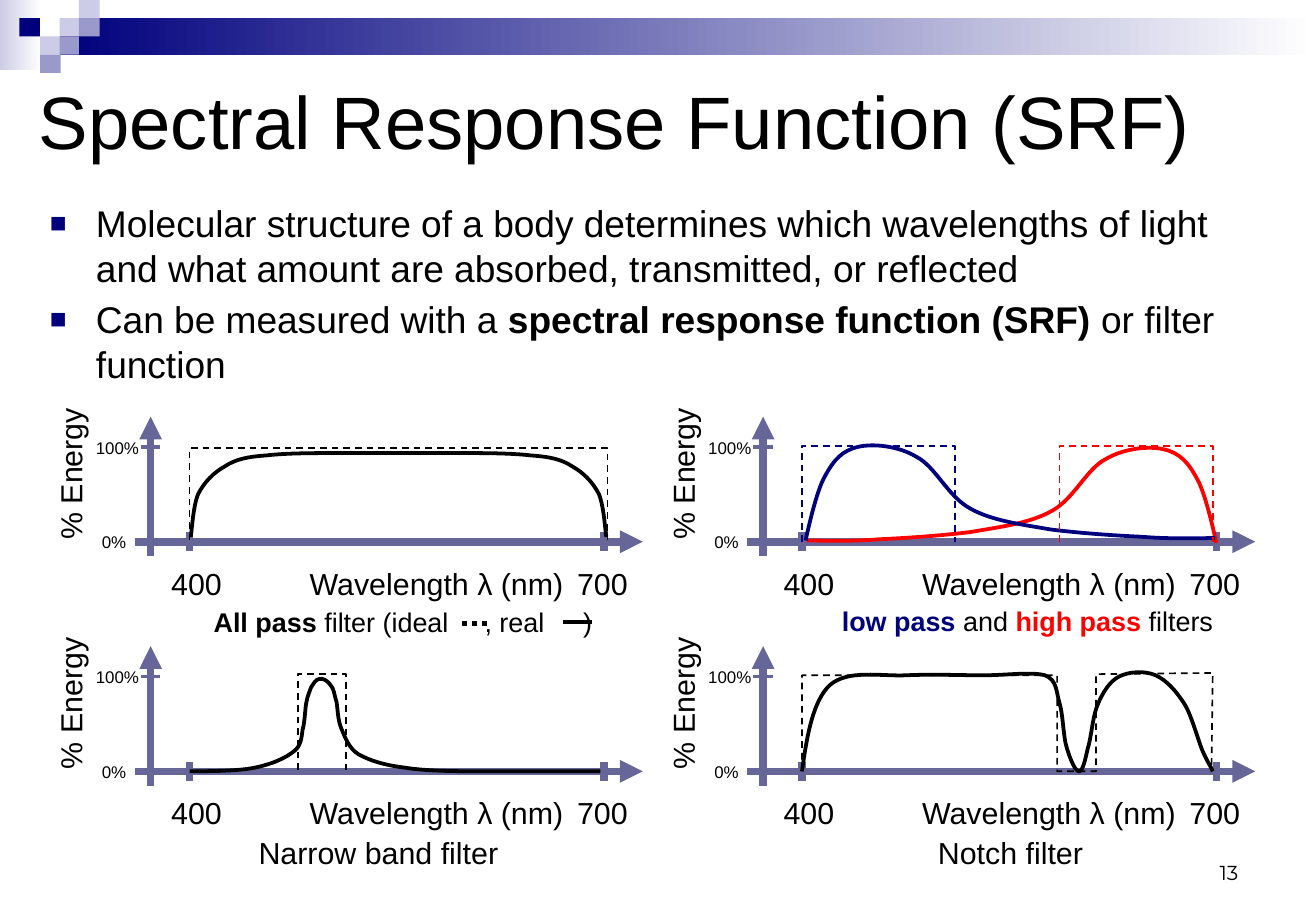
import pptx
import pptx.util
import pptx.dml.color
import pptx.enum.dml
import pptx.enum.shapes
import pptx.enum.text
import pptx.oxml.ns
from lxml import etree

Inches, Pt, qn = pptx.util.Inches, pptx.util.Pt, pptx.oxml.ns.qn
DASH, DOTS = pptx.enum.dml.MSO_LINE.DASH, pptx.enum.dml.MSO_LINE.ROUND_DOT
ALIGN, ANCHOR = pptx.enum.text.PP_ALIGN, pptx.enum.text.MSO_ANCHOR
AUTO_SIZE = pptx.enum.text.MSO_AUTO_SIZE

COLORS = {"black": "000000", "white": "FFFFFF", "navy": "00007D", "red": "FF0001",
          "axis": "666699", "pale": "CCCCE6", "lilac": "9999CC"}
# left, top, width, height, colours (two make a gradient)
HEADER_BLOCKS = [
    (0, 0, 0.34, 0.58, "pale", "white"), (0.49, 0.15, 10.34, 0.3, "navy", "white"),
    (0.49, 0.15, 0.16, 0.15, "pale"), (0.65, 0, 0.17, 0.15, "pale"),
    (0.65, 0.15, 0.17, 0.15, "lilac"), (0.33, 0.3, 0.17, 0.15, "pale"),
    (0.16, 0.15, 0.17, 0.15, "navy"), (0.49, 0.3, 0.16, 0.15, "lilac"),
    (0.33, 0.45, 0.17, 0.15, "lilac")]
BULLETS = [
    [("Molecular structure of a body determines which wavelengths of light "
      "and what amount are absorbed, transmitted, or reflected", {})],
    [("Can be measured with a ", {}), ("spectral response function (SRF)", {"bold": True}),
     (" or filter function", {})]]
# text, left, top, width, height from the origin of the axes, size, rotation
AXIS_LABELS = [
    ("400", 0.07, 0.14, 0.62, 0.4, 18, 0), ("700", 3.41, 0.14, 0.62, 0.4, 18, 0),
    ("Wavelength λ (nm)", 1.21, 0.14, 2.3, 0.4, 18, 0),
    ("% Energy", -1.36, -0.82, 1.4, 0.4, 18, 270),
    ("100%", -0.55, -0.91, 0.62, 0.27, 10, 0), ("0%", -0.5, -0.13, 0.42, 0.27, 10, 0)]
LEFT, RIGHT = 1.24, 6.28     # x of the energy axes
UPPER, LOWER = 4.46, 6.35    # y of the wavelength axes

# Bézier curves: start point, then two control points and an end point per segment
ALL_PASS = [
    (1.57, 4.42), (1.58, 4.36), (1.59, 4.17), (1.63, 4.07), (1.68, 3.97), (1.76, 3.89), (1.85, 3.84),
    (1.94, 3.78), (2.04, 3.76), (2.19, 3.75), (2.35, 3.73), (2.59, 3.73), (2.78, 3.73),
    (2.98, 3.73), (3.23, 3.73), (3.34, 3.73)]
HIGH_PASS = [
    (6.64, 4.45), (6.74, 4.45), (7.01, 4.46), (7.24, 4.44), (7.46, 4.43), (7.75, 4.41), (7.99, 4.38),
    (8.22, 4.34), (8.47, 4.31), (8.65, 4.21), (8.84, 4.11), (8.94, 3.86), (9.1, 3.78),
    (9.25, 3.69), (9.46, 3.67), (9.58, 3.7), (9.71, 3.73), (9.78, 3.81), (9.85, 3.94),
    (9.92, 4.06), (9.99, 4.38), (10.01, 4.47)]
NARROW_BAND = [
    (1.56, 6.35), (1.64, 6.35), (1.9, 6.35), (2.04, 6.33), (2.18, 6.31), (2.32, 6.26), (2.4, 6.2),
    (2.48, 6.15), (2.48, 6.08), (2.49, 6.01), (2.51, 5.94), (2.51, 5.85), (2.52, 5.79),
    (2.53, 5.73), (2.55, 5.69), (2.56, 5.66), (2.58, 5.63), (2.6, 5.59), (2.63, 5.59),
    (2.66, 5.58), (2.7, 5.61), (2.72, 5.64), (2.75, 5.67), (2.75, 5.72), (2.77, 5.78),
    (2.78, 5.84), (2.78, 5.93), (2.81, 6), (2.84, 6.07), (2.87, 6.16), (2.95, 6.21),
    (3.04, 6.26), (3.16, 6.3), (3.33, 6.32), (3.51, 6.35), (3.77, 6.35), (4, 6.35),
    (4.23, 6.35), (4.55, 6.35), (4.71, 6.35), (4.87, 6.35), (4.9, 6.35), (4.94, 6.35)]
NOTCH = [
    (6.6, 6.35), (6.64, 6.06), (6.69, 5.77), (6.83, 5.64), (6.98, 5.51), (7.25, 5.57), (7.46, 5.56),
    (7.67, 5.55), (7.9, 5.56), (8.09, 5.56), (8.28, 5.56), (8.49, 5.53), (8.6, 5.56),
    (8.7, 5.6), (8.69, 5.69), (8.72, 5.79), (8.75, 5.89), (8.75, 6.07), (8.78, 6.16),
    (8.81, 6.26), (8.85, 6.35), (8.88, 6.35), (8.91, 6.35), (8.93, 6.26), (8.95, 6.17),
    (8.98, 6.08), (8.99, 5.91), (9.03, 5.81), (9.07, 5.71), (9.13, 5.61), (9.21, 5.57),
    (9.29, 5.53), (9.42, 5.52), (9.51, 5.56), (9.6, 5.6), (9.68, 5.69), (9.75, 5.8),
    (9.81, 5.9), (9.86, 6.1), (9.9, 6.19), (9.94, 6.28), (9.97, 6.32), (9.98, 6.35)]

def rgb(name):
    return pptx.dml.color.RGBColor.from_string(COLORS[name])

def set_values(target, values):
    for name, value in values.items():
        setattr(target, name, value)

def add_child(parent, tag, **attributes):
    return etree.SubElement(parent, qn(tag), attributes)

def mirror(points, axis_sum, shift=0):
    """Reflect points left to right; axis_sum is twice the x of the mirror line."""
    return [(axis_sum - x, y + shift) for x, y in points]

def write_runs(paragraph, runs, size, font="Arial"):
    for text, style in runs:
        run = paragraph.add_run()
        run.text = text
        set_values(run.font, {"size": Pt(size), "name": font, "bold": style.get("bold", False)})
        run.font.color.rgb = rgb(style.get("color", "black"))

def add_label(shapes, box, runs, size, rotation=0, wrap=False):
    label = shapes.add_textbox(*map(Inches, box))
    label.rotation = rotation
    set_values(label.text_frame, {"word_wrap": wrap, "auto_size": AUTO_SIZE.SHAPE_TO_FIT_TEXT})
    paragraph = label.text_frame.paragraphs[0]
    write_runs(paragraph, [(runs, {})] if isinstance(runs, str) else runs, size)
    return paragraph

def style_line(line, color, width, dash=None):
    line.color.rgb = rgb(color)
    set_values(line, {"width": Pt(width), "dash_style": dash})

def add_line(shapes, start, end, color, width, dash=None, arrow=False):
    straight = pptx.enum.shapes.MSO_CONNECTOR.STRAIGHT
    connector = shapes.add_connector(straight, *map(Inches, start + end))
    style_line(connector.line, color, width, dash)
    if arrow:
        add_child(connector.line._get_or_add_ln(), "a:tailEnd", type="triangle")
    add_child(connector._element.spPr, "a:effectLst")

def add_outline(shapes, points, color="black", width=1, dash=DASH):
    start, *rest = [(Inches(x), Inches(y)) for x, y in points]
    builder = shapes.build_freeform(*start)
    builder.add_line_segments(rest, close=False)
    shape = builder.convert_to_shape()
    shape.shadow.inherit = False
    shape.fill.background()
    style_line(shape.line, color, width, dash)
    return shape

def add_curve(shapes, points, color="black"):
    """Turn each three points of an open outline into one Bézier segment."""
    shape = add_outline(shapes, points, color, 2.25, None)
    segments = list(shape._element.iter(qn("a:lnTo")))
    for index in range(0, len(segments), 3):
        curve = add_child(segments[index].getparent(), "a:cubicBezTo")
        for segment in segments[index:index + 3]:
            curve.append(segment[0])
            segment.getparent().remove(segment)

def add_ideal_band(shapes, left, right, top, bottom, color="black"):
    add_outline(shapes, [(left, bottom), (left, top), (right, top), (right, bottom)], color)

def add_axes(slide, x, y):
    """Draw labelled axes crossing at x, y and return the shapes of their group."""
    shapes = slide.shapes.add_group_shape().shapes
    for tick in (x + 0.32, x + 3.73):
        add_line(shapes, (tick, y - 0.08), (tick, y + 0.08), "axis", 4.5)
    add_line(shapes, (x - 0.08, y - 0.78), (x + 0.08, y - 0.78), "axis", 2.25)
    add_line(shapes, (x - 0.13, y), (x + 4.05, y), "axis", 4.5, arrow=True)
    add_line(shapes, (x, y + 0.12), (x, y - 1.03), "axis", 4.5, arrow=True)
    for text, left, top, width, height, size, rotation in AXIS_LABELS:
        add_label(shapes, (x + left, y + top, width, height), text, size, rotation)
    return shapes

def add_header(slide):
    rectangle = pptx.enum.shapes.MSO_SHAPE.RECTANGLE
    for left, top, width, height, *colors in HEADER_BLOCKS:
        block = slide.shapes.add_shape(rectangle, *map(Inches, (left, top, width, height)))
        block.shadow.inherit = False
        block.line.fill.background()
        if len(colors) == 1:
            block.fill.solid()
            block.fill.fore_color.rgb = rgb(colors[0])
        else:
            block.fill.gradient()
            block.fill.gradient_angle = 0
            for stop, color in zip(block.fill.gradient_stops, colors):
                stop.color.rgb = rgb(color)

def fill_title_and_body(slide):
    title, body = slide.placeholders
    for shape, box, anchor in ((title, (0.22, 0.6, 10.46, 0.78), ANCHOR.MIDDLE),
                               (body, (0.31, 1.6, 10.21, 5.42), ANCHOR.TOP)):
        set_values(shape, dict(zip(("left", "top", "width", "height"), map(Inches, box))))
        set_values(shape.text_frame, {"vertical_anchor": anchor, "auto_size": AUTO_SIZE.NONE})
    title.text_frame.paragraphs[0].alignment = ALIGN.LEFT
    write_runs(title.text_frame.paragraphs[0], [("Spectral Response Function (SRF)", {})], 44)
    body.text_frame.add_paragraph()
    for paragraph, runs in zip(body.text_frame.paragraphs, BULLETS):
        paragraph.space_before = Pt(4.4)
        properties = paragraph._p.get_or_add_pPr()
        properties.set("marL", str(Inches(0.38)))
        properties.set("indent", str(-Inches(0.38)))
        add_child(add_child(properties, "a:buClr"), "a:srgbClr", val=COLORS["navy"])
        add_child(properties, "a:buSzPct", val="75000")
        add_child(properties, "a:buFont", typeface="Arial")
        add_child(properties, "a:buChar", char="■")
        write_runs(paragraph, runs, 22)

def add_upper_charts(slide):
    shapes = add_axes(slide, LEFT, UPPER)
    runs = [("All pass", {"bold": True}), (" filter (ideal\t, real\t)", {})]
    caption = add_label(shapes, (1.66, 4.94, 3.34, 0.37), runs, 16, wrap=True)
    tabs = add_child(caption._p.get_or_add_pPr(), "a:tabLst")
    for position in (2.23, 3.04):
        add_child(tabs, "a:tab", pos=str(Inches(position)), algn="l")
    add_ideal_band(shapes, 1.56, 5, 3.69, 4.45)
    add_curve(shapes, ALL_PASS)
    add_curve(shapes, mirror(ALL_PASS, 6.56))
    add_line(shapes, (3.8, 5.13), (4.05, 5.13), "black", 3, DOTS)
    add_line(shapes, (4.63, 5.12), (4.87, 5.12), "black", 2.25)

    shapes = add_axes(slide, RIGHT, UPPER)
    add_curve(shapes, HIGH_PASS, "red")
    runs = [("low pass", {"bold": True, "color": "navy"}), (" and ", {}),
            ("high pass", {"bold": True, "color": "red"}), (" filters", {})]
    add_label(shapes, (6.83, 4.93, 3.27, 0.37), runs, 16)
    add_curve(shapes, mirror(HIGH_PASS, 16.64, -0.02), "navy")
    add_ideal_band(shapes, 6.6, 7.86, 3.67, 4.46, "navy")
    add_ideal_band(shapes, 8.72, 9.98, 3.67, 4.46, "red")

def add_lower_charts(slide):
    shapes = add_axes(slide, LEFT, LOWER)
    add_label(shapes, (2.03, 6.82, 2.17, 0.4), "Narrow band filter", 18)
    add_curve(shapes, NARROW_BAND)
    add_ideal_band(shapes, 2.45, 2.85, 5.55, 6.34)
    shapes = add_axes(slide, RIGHT, LOWER)
    add_label(shapes, (7.62, 6.82, 1.4, 0.4), "Notch filter", 18)
    add_curve(shapes, NOTCH)
    add_outline(shapes, [(6.6, 6.35), (6.6, 5.56), (8.7, 5.56), (8.7, 6.35),
                         (9.02, 6.35), (9.02, 5.55), (9.98, 5.54), (9.97, 6.35)])

def add_slide_number(slide):
    number = slide.shapes.add_textbox(*map(Inches, (7.76, 6.83, 2.53, 0.5)))
    set_values(number.text_frame, {"word_wrap": True, "vertical_anchor": ANCHOR.BOTTOM})
    number.text_frame.paragraphs[0].alignment = ALIGN.RIGHT
    write_runs(number.text_frame.paragraphs[0], [("13", {})], 12, "Montserrat")

def main():
    presentation = pptx.Presentation()
    set_values(presentation, {"slide_width": Inches(10.83), "slide_height": Inches(7.5)})
    slide = presentation.slides.add_slide(presentation.slide_layouts[1])
    for build in (add_header, fill_title_and_body, add_upper_charts, add_lower_charts, add_slide_number):
        build(slide)
    presentation.save("out.pptx")

if __name__ == "__main__":
    main()
